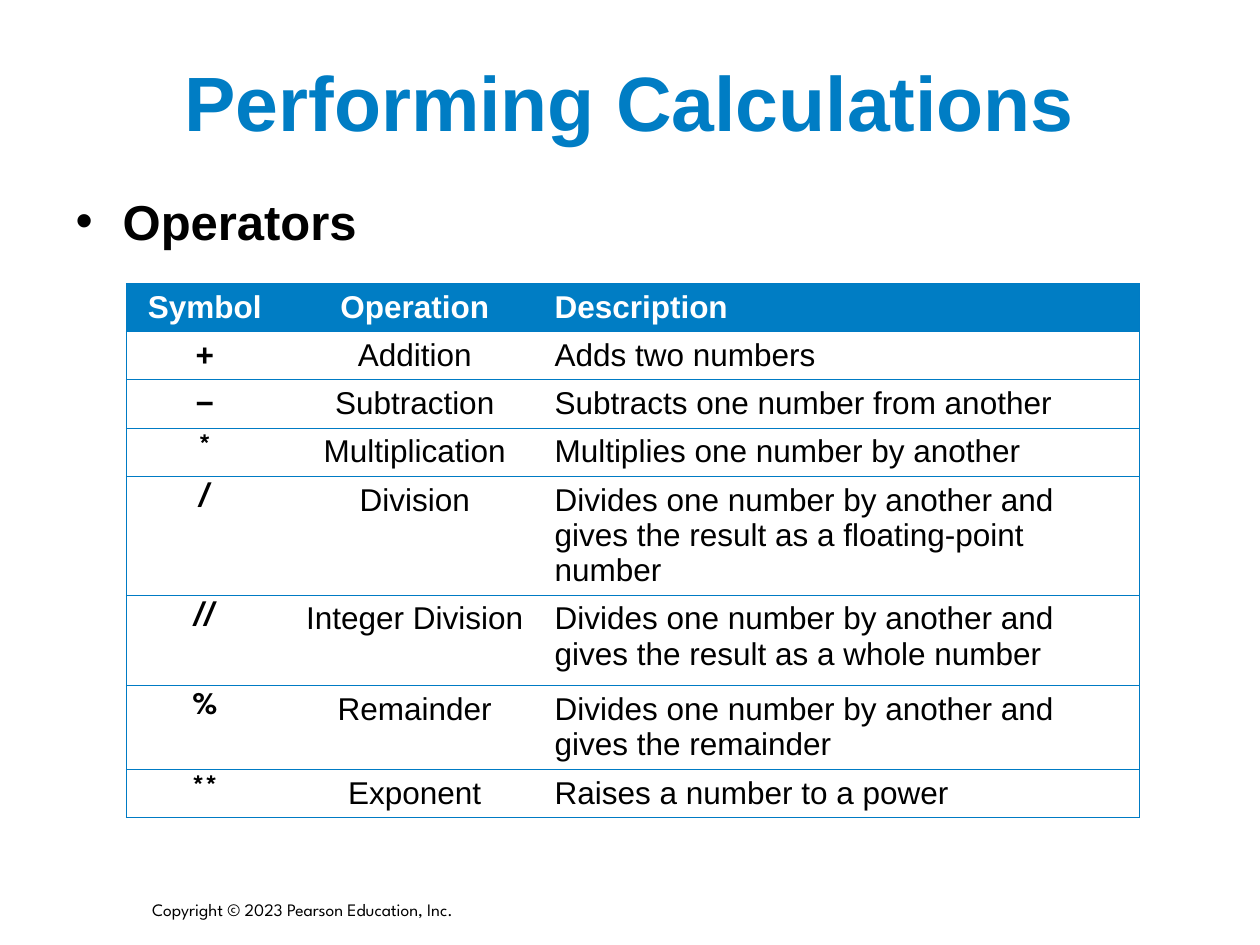
from dataclasses import dataclass

from lxml.etree import SubElement
from pptx import Presentation
from pptx.dml.color import RGBColor
from pptx.enum.text import MSO_ANCHOR as Anchor, PP_ALIGN as Align
from pptx.oxml.ns import qn
from pptx.util import Cm, Pt


@dataclass(frozen=True)
class Theme:
    blue: str = "007DC4"
    border: str = "007BC4"
    black: str = "000000"
    white: str = "FFFFFF"
    font: str = "Arial"
    accent_font: str = "League Spartan"
    title_size: int = 44
    body_size: int = 28
    table_size: int = 18
    footer_size: int = 10
    border_width: float = 0.34


THEME = Theme()
NO_STYLE = "{2D5ABB26-0587-4C30-8999-92F81FD0307C}"
COLUMN_WIDTHS = (3.18, 5.28, 11.96)
ROW_HEIGHTS = (0.91, 0.91, 0.91, 0.91, 2.29, 1.83, 1.52, 0.91)
OPERATORS = (
    ("Symbol", "Operation", "Description"),
    ("+", "Addition", "Adds two numbers"),
    ("−", "Subtraction", "Subtracts one number from another"),
    ("*", "Multiplication", "Multiplies one number by another"),
    ("/", "Division",
     "Divides one number by another and gives the result as a floating-point number"),
    ("//", "Integer Division",
     "Divides one number by another and gives the result as a whole number"),
    ("%", "Remainder", "Divides one number by another and gives the remainder"),
    ("**", "Exponent", "Raises a number to a power"),
)


def write(frame, text, *, size, color=THEME.black, font=THEME.font, bold=False,
          align=Align.LEFT, anchor=Anchor.TOP, bullet=False):
    frame.word_wrap = True
    frame.vertical_anchor = anchor
    paragraph = frame.paragraphs[0]
    if bullet:
        add_bullet(paragraph)
    paragraph.alignment = align
    paragraph.space_before = Pt(0)
    run = paragraph.add_run()
    run.text = text
    run.font.name = font
    run.font.size = Pt(size)
    run.font.bold = bold
    run.font.color.rgb = RGBColor.from_string(color)


def add_bullet(paragraph):
    properties = paragraph._p.get_or_add_pPr()
    properties.set("marL", str(Cm(0.95)))
    properties.set("indent", str(-Cm(0.95)))
    SubElement(properties, qn("a:buChar"), char="•")


def place(shape, left, top, width, height):
    shape.left, shape.top, shape.width, shape.height = map(Cm, (left, top, width, height))


def add_borders(cell, sides):
    """Draw the cell's borders; call before filling, as lines precede the fill."""
    properties = cell._tc.get_or_add_tcPr()
    for side in sides:
        line = SubElement(properties, qn(f"a:ln{side}"), w=str(Pt(THEME.border_width)))
        SubElement(SubElement(line, qn("a:solidFill")), qn("a:srgbClr"), val=THEME.border)


def format_cell(cell, text, row, column):
    is_header = row == 0
    is_symbol = column == 0
    cell.margin_left = cell.margin_right = Cm(0.18)
    cell.margin_top = cell.margin_bottom = Cm(0.13)
    add_borders(cell, ("LTB", "TB", "RTB")[column])
    if is_header:
        cell.fill.solid()
        cell.fill.fore_color.rgb = RGBColor.from_string(THEME.blue)
    else:
        cell.fill.background()
    write(cell.text_frame, text, size=THEME.table_size,
          color=THEME.white if is_header else THEME.black,
          font=THEME.accent_font if text in ("*", "/", "//", "%", "**") else THEME.font,
          bold=is_header or is_symbol,
          align=Align.LEFT if column == 2 else Align.CENTER)


def add_operator_table(slide):
    frame = slide.shapes.add_table(
        len(ROW_HEIGHTS), len(COLUMN_WIDTHS), Cm(2.54), Cm(5.71),
        Cm(sum(COLUMN_WIDTHS)), Cm(sum(ROW_HEIGHTS)))
    table = frame.table
    table.horz_banding = table.first_row = False
    table._tbl.tblPr.find(qn("a:tableStyleId")).text = NO_STYLE
    for column, width in zip(table.columns, COLUMN_WIDTHS):
        column.width = Cm(width)
    for row, height in zip(table.rows, ROW_HEIGHTS):
        row.height = Cm(height)
    for row, texts in enumerate(OPERATORS):
        for column, text in enumerate(texts):
            format_cell(table.cell(row, column), text, row, column)


def add_footer(slide):
    box = slide.shapes.add_textbox(Cm(2.82), Cm(17.83), Cm(7.62), Cm(0.84))
    write(box.text_frame, "Copyright © 2023 Pearson Education, Inc.",
          size=THEME.footer_size, font=THEME.accent_font, anchor=Anchor.BOTTOM)


def main():
    presentation = Presentation()
    presentation.slide_width, presentation.slide_height = Cm(25.4), Cm(19.05)
    slide = presentation.slides.add_slide(presentation.slide_layouts[1])

    title, body = slide.placeholders
    place(title, 1.27, 0.43, 22.86, 3.18)
    write(title.text_frame, "Performing Calculations", size=THEME.title_size,
          color=THEME.blue, bold=True, align=Align.CENTER, anchor=Anchor.MIDDLE)
    place(body, 1.27, 3.61, 22.86, 12.57)
    body.text_frame.margin_top = Cm(0.25)
    write(body.text_frame, "Operators", size=THEME.body_size, bold=True, bullet=True)

    add_operator_table(slide)
    add_footer(slide)
    presentation.save("out.pptx")


if __name__ == "__main__":
    main()
